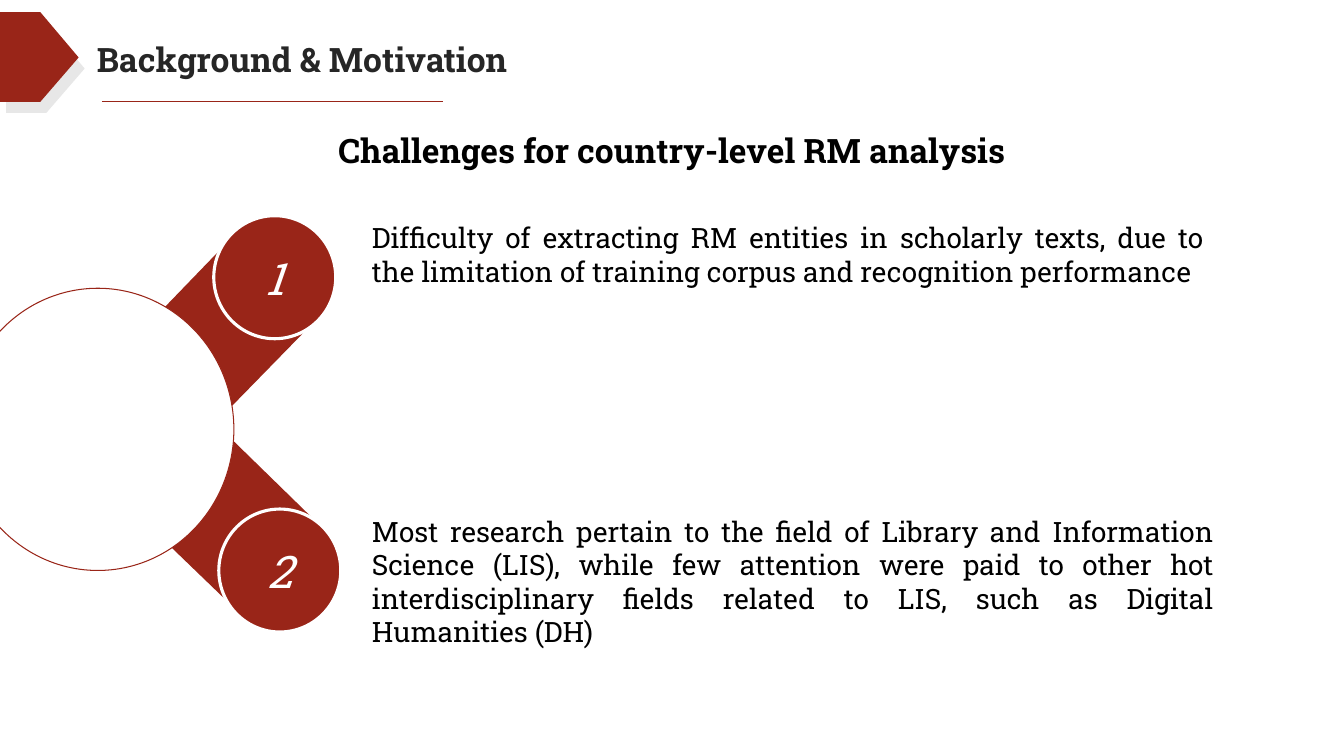
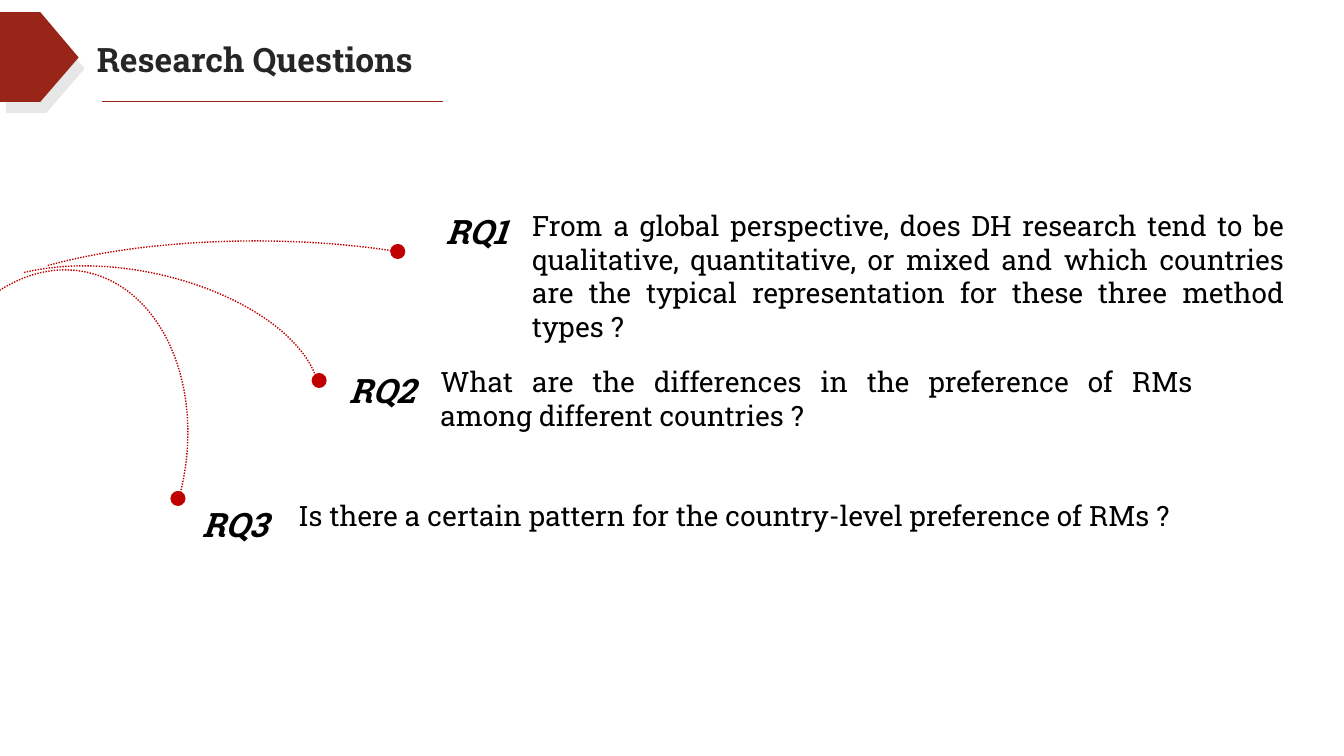
from dataclasses import dataclass

from lxml import etree
from pptx import Presentation
from pptx.dml.color import RGBColor
from pptx.enum.dml import MSO_LINE
from pptx.enum.shapes import MSO_CONNECTOR, MSO_SHAPE
from pptx.enum.text import MSO_ANCHOR, PP_ALIGN
from pptx.oxml.ns import qn
from pptx.util import Pt

PX = 9144
TITLE_ONLY = 5
ARC, OVAL = MSO_SHAPE.ARC, MSO_SHAPE.OVAL
STRAIGHT = MSO_CONNECTOR.STRAIGHT
DOTTED = MSO_LINE.ROUND_DOT
TOP, MIDDLE = MSO_ANCHOR.TOP, MSO_ANCHOR.MIDDLE
LEFT, CENTER, JUSTIFY = PP_ALIGN.LEFT, PP_ALIGN.CENTER, PP_ALIGN.JUSTIFY


@dataclass(frozen=True)
class Theme:
    """Colours, font and type sizes of the deck."""
    font: str = "Roboto Slab"
    brick: str = "992518"
    crimson: str = "C00000"
    shade: str = "E7E7E7"
    heading: str = "262626"
    ink: str = "000000"
    white: str = "FFFFFF"
    body_size: int = 20
    heading_size: int = 24
    number_size: int = 32


THEME = Theme()


def color(value):
    """Return a colour object for a hex string."""
    return RGBColor.from_string(value)


def emu(box):
    """Turn a tuple of px lengths into EMU."""
    return [length * PX for length in box]


def write(shape, text, size=THEME.body_size, ink=THEME.ink, bold=False,
          italic=False, align=LEFT, anchor=TOP, spacing=1.0):
    """Write one formatted paragraph into a shape."""
    frame = shape.text_frame
    frame.word_wrap = True
    frame.vertical_anchor = anchor
    paragraph = frame.paragraphs[0]
    paragraph.alignment = align
    paragraph.line_spacing = spacing
    run = paragraph.add_run()
    run.text = text
    font = run.font
    font.name, font.size = THEME.font, Pt(size)
    font.bold, font.italic = bold, italic
    font.color.rgb = color(ink)


def add_text(slide, box, text, **text_format):
    """Add a text box holding one paragraph."""
    write(slide.shapes.add_textbox(*emu(box)), text, **text_format)


def paint(shape, fill=None, line=None, width=1.0):
    """Set fill and outline of a shape and drop its shadow."""
    shape.shadow.inherit = False
    if fill:
        shape.fill.solid()
        shape.fill.fore_color.rgb = color(fill)
    else:
        shape.fill.background()
    if line:
        shape.line.color.rgb = color(line)
        shape.line.width = Pt(width)
    else:
        shape.line.fill.background()


def add_preset(slide, kind, box, **paint_format):
    """Add a painted preset shape."""
    shape = slide.shapes.add_shape(kind, *emu(box))
    paint(shape, **paint_format)
    return shape


def add_polygon(slide, left, top, points, fill):
    """Add a filled polygon whose points are relative to left and top."""
    builder = slide.shapes.build_freeform(*points[0], scale=PX)
    builder.add_line_segments(points[1:], close=True)
    paint(builder.convert_to_shape(left * PX, top * PX), fill=fill)


def add_titled_slide(presentation, title):
    """Add a slide with the arrow tab, the title and its underline."""
    slide = presentation.slides.add_slide(presentation.slide_layouts[TITLE_ONLY])
    tab = [(0, 0), (40, 0), (78, 45), (40, 89), (0, 89)]
    add_polygon(slide, 6, 23, tab, THEME.shade)
    add_polygon(slide, 0, 12, tab, THEME.brick)
    placeholder = slide.shapes.title
    (placeholder.left, placeholder.top,
     placeholder.width, placeholder.height) = emu((86, 34, 476, 51))
    write(placeholder, title, size=THEME.heading_size, ink=THEME.heading, bold=True)
    underline = slide.shapes.add_connector(STRAIGHT, *emu((101, 101, 439, 101)))
    underline.line.color.rgb = color(THEME.brick)
    underline.line.width = Pt(1)
    etree.SubElement(underline._element.spPr, qn("a:effectLst"))
    return slide


def add_challenge(slide, left, top, number, arm, text_box, text):
    """Add an arm, its numbered disc at left and top, and the text beside it."""
    add_polygon(slide, left, top, arm, THEME.brick)
    disc = add_preset(slide, OVAL, (left, top, 121, 122), fill=THEME.brick,
                      line=THEME.white, width=2.25)
    write(disc, number, size=THEME.number_size, ink=THEME.white, italic=True,
          align=CENTER, anchor=MIDDLE)
    text_left, width, height = text_box
    add_text(slide, (text_left, top, width, height), text, align=JUSTIFY)


def add_challenges_slide(presentation):
    """Add the slide on challenges, with two arms around a hub."""
    slide = add_titled_slide(presentation, "Background & Motivation")
    add_text(slide, (0, 104, 1333, 64), "Challenges for country-level RM analysis",
             size=THEME.heading_size, bold=True, align=CENTER, spacing=1.5)
    challenges = [
        (212, 214, [(13, 194), (-70, 113), (12, 28), (96, 109)], (359, 845, 111),
         "Difficulty of extracting RM entities in scholarly texts, due to the "
         "limitation of training corpus and recognition performance"),
        (217, 505, [(11, -71), (-72, 14), (12, 95), (94, 10)], (359, 855, 145),
         "Most research pertain to the field of Library and Information Science "
         "(LIS), while few attention were paid to other hot interdisciplinary "
         "fields related to LIS, such as Digital Humanities (DH)"),
    ]
    for number, (left, top, arm, text_box, text) in enumerate(challenges, 1):
        add_challenge(slide, left, top, str(number), arm, text_box, text)
    add_preset(slide, OVAL, (-38, 286, 270, 280), fill=THEME.white,
               line=THEME.brick, width=0.75)


def add_question(slide, label, dot, arc_box, rotation, sweep, label_at, text_box, text):
    """Add a dotted arc ending in a dot, with a label and its question."""
    add_preset(slide, OVAL, (*dot, 15, 15), fill=THEME.crimson)
    arc = add_preset(slide, ARC, arc_box, line=THEME.crimson)
    arc.line.dash_style = DOTTED
    arc.rotation = rotation
    arc.adjustments[0], arc.adjustments[1] = sweep
    add_text(slide, (*label_at, 109, 64), label, size=THEME.heading_size,
             bold=True, italic=True, align=CENTER, spacing=1.5)
    add_text(slide, text_box, text, align=JUSTIFY)


def add_questions_slide(presentation):
    """Add the slide with the three research questions."""
    slide = add_titled_slide(presentation, "Research Questions")
    questions = [
        ((387, 242), (-55, 239, 617, 191), 0, (119.42, 198.03),
         (418, 184), (518, 202, 766, 145),
         "From a global perspective, does DH research tend to be qualitative, "
         "quantitative, or mixed and which countries are the typical "
         "representation for these three method types ?"),
        ((309, 370), (-55, 269, 375, 196), 11.7, (125.97, 209.93),
         (324, 342), (427, 357, 766, 77),
         "What are the differences in the preference of RMs among different "
         "countries ?"),
        ((169, 487), (-89, 266, 273, 371), 11.7, (137.46, 5.25),
         (178, 475), (286, 490, 961, 44),
         "Is there a certain pattern for the country-level preference of RMs ?"),
    ]
    for number, question in enumerate(questions, 1):
        add_question(slide, f"RQ{number}", *question)


def main():
    """Build and save the presentation."""
    presentation = Presentation()
    presentation.slide_width, presentation.slide_height = emu((1333, 750))
    add_challenges_slide(presentation)
    add_questions_slide(presentation)
    presentation.save("out.pptx")


if __name__ == "__main__":
    main()
